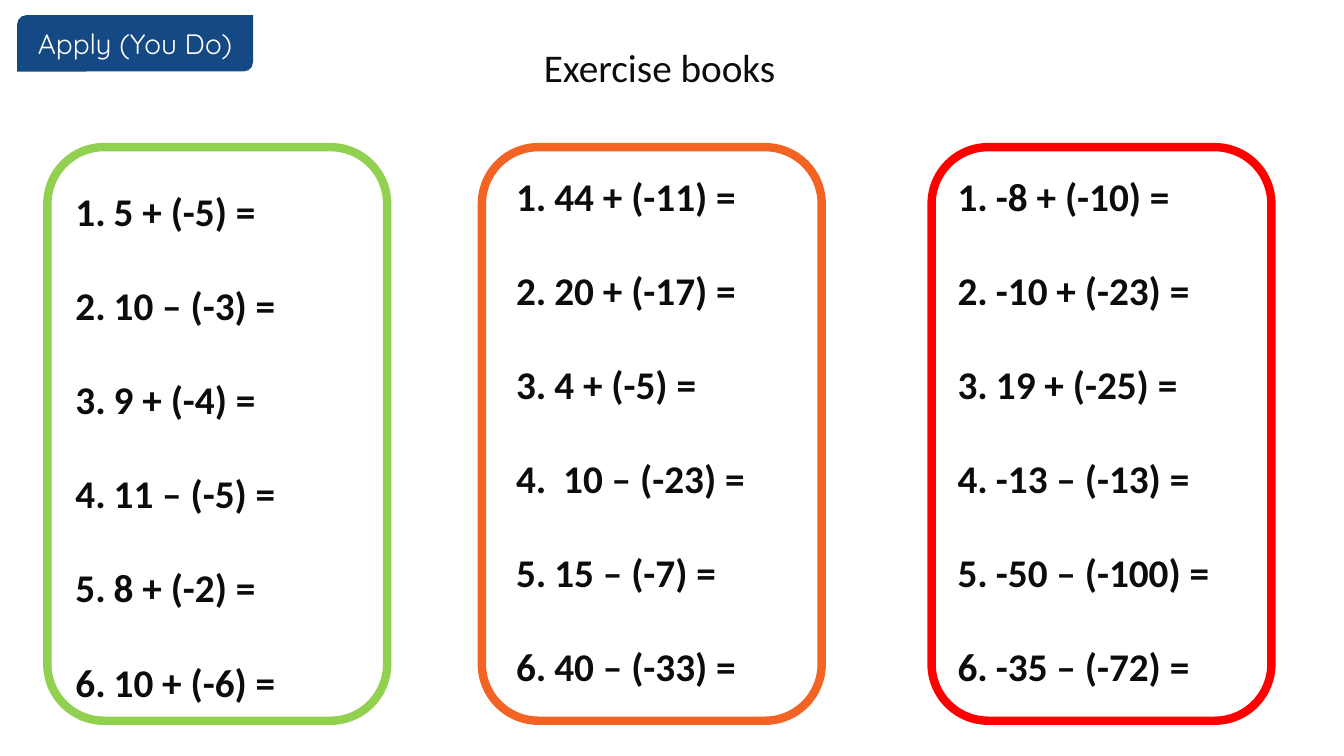
from lxml.etree import SubElement
from pptx import Presentation
from pptx.dml.color import RGBColor
from pptx.enum.shapes import MSO_SHAPE as Shape
from pptx.enum.text import MSO_ANCHOR as Anchor, MSO_AUTO_SIZE as AutoSize, PP_ALIGN as Align
from pptx.oxml.ns import qn
from pptx.util import Inches, Pt

COLOURS = {"tag": "154983", "tag_text": "FFFFFF", "text": "0C0C0C",
           "green": "92D050", "orange": "F36424", "red": "FF0000"}
TAG_FONT = {"name": "Quicksand", "size": Pt(20)}
TITLE_FONT = {"name": "Calibri", "size": Pt(28)}
SUM_FONT = {**TITLE_FONT, "bold": True}
INDENT = 0.38
SUM_GAP = Pt(33.6)

# Each card: colour, frame left, text left, text top, sums
CARDS = [
    ("green", 0.47, 0.65, 1.81,
     ["5 + (-5) =", "10 – (-3) =", "9 + (-4) =",
      "11 – (-5) =", "8 + (-2) =", "10 + (-6) ="]),
    ("orange", 4.78, 5.02, 1.66,
     ["44 + (-11) =", "20 + (-17) =", "4 + (-5) =",
      " 10 – (-23) =", "15 – (-7) =", "40 – (-33) ="]),
    ("red", 9.24, 9.4, 1.66,
     ["-8 + (-10) =", "-10 + (-23) =", "19 + (-25) =",
      "-13 – (-13) =", "-50 – (-100) =", "-35 – (-72) ="]),
]


def colour(name):
    return RGBColor.from_string(COLOURS[name])


def add_span(para, text, font, colour_name):
    span = para.add_run()
    span.text = text
    for key, value in font.items():
        setattr(span.font, key, value)
    span.font.color.rgb = colour(colour_name)


def add_text_box(page, box):
    frame = page.shapes.add_textbox(*map(Inches, box)).text_frame
    frame.word_wrap = True
    frame.auto_size = AutoSize.NONE
    return frame


def number_paragraph(para):
    props = para._p.get_or_add_pPr()
    props.set("marL", str(Inches(INDENT)))
    props.set("indent", str(Inches(-INDENT)))
    SubElement(props, qn("a:buFont"), typeface="+mj-lt")
    SubElement(props, qn("a:buAutoNum"), type="arabicPeriod")


def add_tag(page, box):
    tag = page.shapes.add_shape(Shape.ROUND_2_DIAG_RECTANGLE, *map(Inches, box))
    tag.shadow.inherit = False
    tag.fill.solid()
    tag.fill.fore_color.rgb = colour("tag")
    tag.line.fill.background()
    tag.text_frame.vertical_anchor = Anchor.MIDDLE
    para = tag.text_frame.paragraphs[0]
    para.alignment = Align.CENTER
    add_span(para, "Apply (You Do)", TAG_FONT, "tag_text")


def add_title(page, box):
    para = add_text_box(page, box).paragraphs[0]
    para.alignment = Align.CENTER
    add_span(para, "Exercise books ", TITLE_FONT, "text")


def add_frame(page, box, colour_name):
    frame = page.shapes.add_shape(Shape.ROUNDED_RECTANGLE, *map(Inches, box))
    frame.shadow.inherit = False
    frame.fill.background()
    frame.line.color.rgb = colour(colour_name)
    frame.line.width = Pt(6)


def add_sums(page, box, sums):
    frame = add_text_box(page, box)
    for index, text in enumerate(sums):
        para = frame.add_paragraph() if index else frame.paragraphs[0]
        if index:
            para.space_before = SUM_GAP
        number_paragraph(para)
        add_span(para, text, SUM_FONT, "text")


def main():
    deck = Presentation()
    deck.slide_width, deck.slide_height = Inches(13.33), Inches(7.5)
    page = deck.slides.add_slide(deck.slide_layouts[6])

    # Header
    add_tag(page, (0.17, 0.15, 2.34, 0.56))
    add_title(page, (3.75, 0.38, 5.67, 0.57))

    # Three exercise cards
    for colour_name, left, text_left, text_top, sums in CARDS:
        add_frame(page, (left, 1.46, 3.37, 5.69), colour_name)
        add_sums(page, (text_left, text_top, 3.03, 5.28), sums)

    deck.save("out.pptx")


if __name__ == "__main__":
    main()
